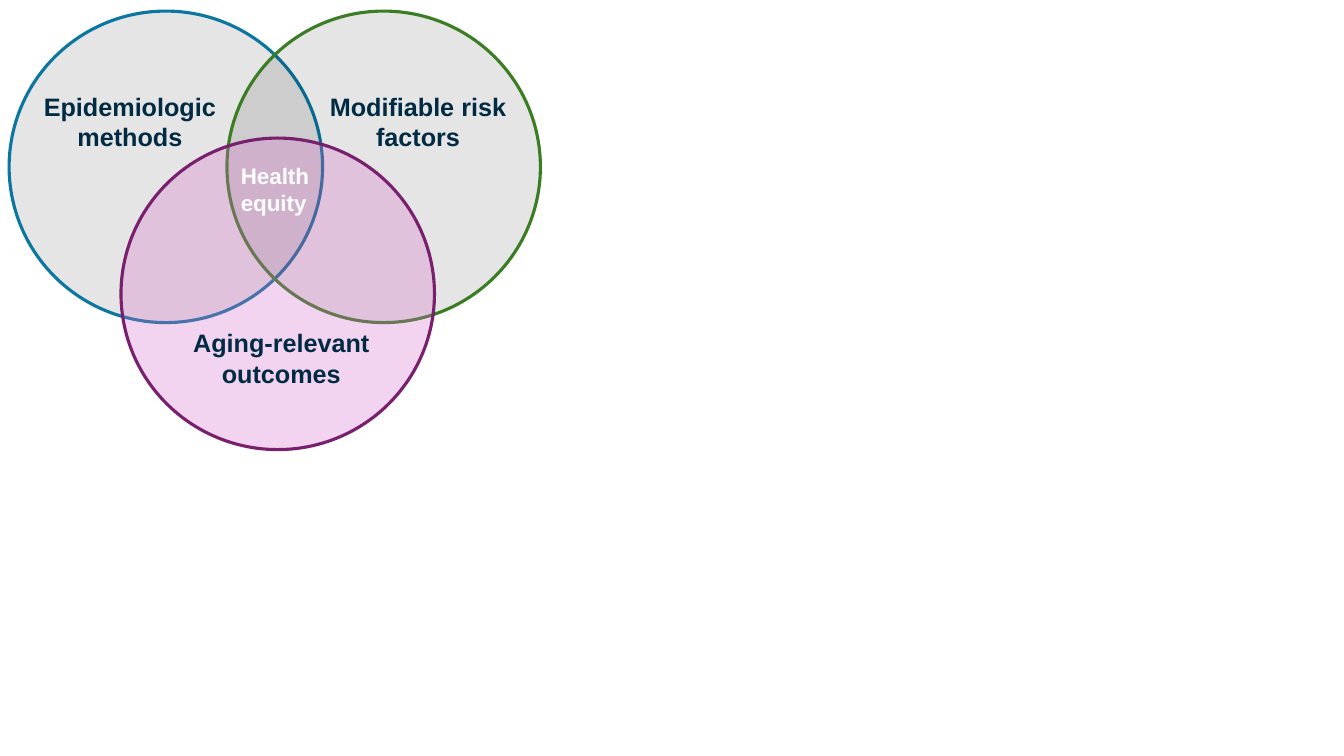
import pptx
import pptx.util
import pptx.dml.color
import pptx.enum.shapes
import pptx.enum.text
import lxml.etree
import pptx.oxml.ns

Cm = pptx.util.Cm
RGBColor = pptx.dml.color.RGBColor
ALIGN = pptx.enum.text.PP_ALIGN

BLACK = RGBColor(0x00, 0x00, 0x00)
WHITE = RGBColor(0xFF, 0xFF, 0xFF)
NAVY = RGBColor(0x00, 0x2B, 0x43)
BLUE = RGBColor(0x0B, 0x76, 0xA0)
GREEN = RGBColor(0x3B, 0x7D, 0x23)
PINK = RGBColor(0xD8, 0x6E, 0xCC)
PURPLE = RGBColor(0x78, 0x20, 0x6E)

prs = pptx.Presentation()
prs.slide_width, prs.slide_height = Cm(33.87), Cm(19.05)
s = prs.slides.add_slide(prs.slide_layouts[6])
venn = s.shapes.add_group_shape()

circles = [
    (0.23, 0.28, BLACK, 10, BLUE),
    (5.72, 0.28, BLACK, 10, GREEN),
    (3.05, 3.48, PINK, 29, PURPLE),
]
for left, top, fill, opacity, line in circles:
    sp = venn.shapes.add_shape(
        pptx.enum.shapes.MSO_SHAPE.OVAL, Cm(left), Cm(top), Cm(7.9), Cm(7.85))
    sp.shadow.inherit = False
    sp.fill.solid()
    sp.fill.fore_color.rgb = fill
    color = sp._element.spPr.find(".//" + pptx.oxml.ns.qn("a:srgbClr"))
    alpha = lxml.etree.SubElement(color, pptx.oxml.ns.qn("a:alpha"))
    alpha.set("val", str(opacity * 1000))
    sp.line.color.rgb = line
    sp.line.width = pptx.util.Pt(2.25)

labels = [
    ("Health equity", 5.82, 3.96, 2.54, 1.62, 16, WHITE, ALIGN.LEFT),
    ("Modifiable risk factors", 7.92, 2.18, 5.23, 1.8, 18, NAVY, ALIGN.CENTER),
    ("Epidemiologic methods", 0.66, 2.18, 5.23, 1.8, 18, NAVY, ALIGN.CENTER),
    ("Aging-relevant outcomes", 4.5, 8.13, 5.18, 1.8, 18, NAVY, ALIGN.CENTER),
]
for text, left, top, width, height, size, color, align in labels:
    sp = venn.shapes.add_textbox(Cm(left), Cm(top), Cm(width), Cm(height))
    tf = sp.text_frame
    tf.word_wrap = True
    tf.auto_size = pptx.enum.text.MSO_AUTO_SIZE.SHAPE_TO_FIT_TEXT
    p = tf.paragraphs[0]
    p.alignment = align
    r = p.add_run()
    r.text = text
    r.font.name = "Arial"
    r.font.size = pptx.util.Pt(size)
    r.font.bold = True
    r.font.color.rgb = color

prs.save("out.pptx")
